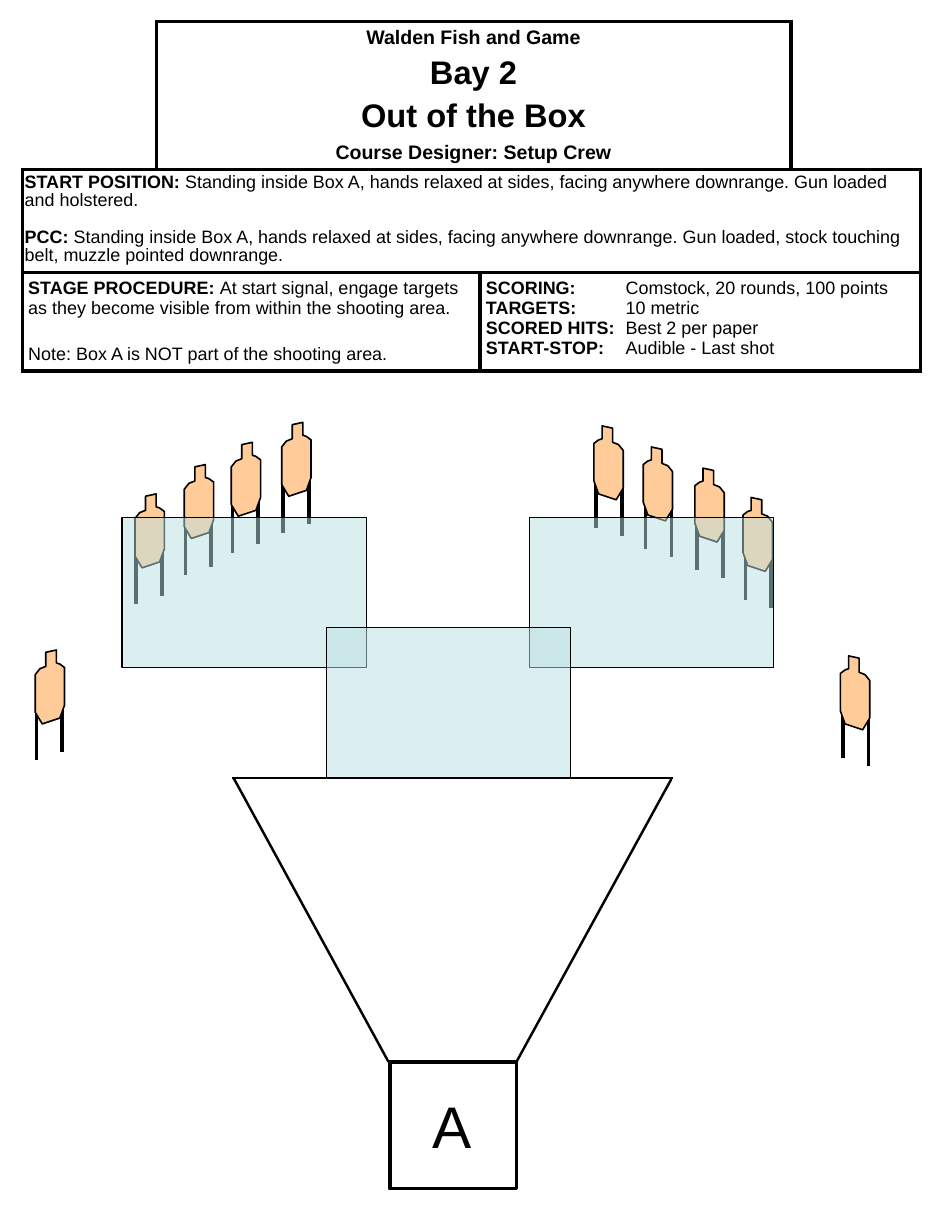
from dataclasses import dataclass

from lxml.etree import SubElement
from pptx import Presentation
from pptx.dml.color import RGBColor
from pptx.enum.shapes import MSO_CONNECTOR, MSO_SHAPE
from pptx.enum.text import MSO_ANCHOR, PP_ALIGN
from pptx.oxml.ns import qn
from pptx.util import Inches, Pt

BLACK = RGBColor(0x00, 0x00, 0x00)
WHITE = RGBColor(0xFF, 0xFF, 0xFF)
TARGET_TAN = RGBColor(0xFF, 0xCC, 0x99)
AREA_BLUE = RGBColor(0xBB, 0xE0, 0xE3)

SLIDE_WIDTH, SLIDE_HEIGHT = Inches(8), Inches(10.5)
GRID_COLUMNS = 800
CELL = SLIDE_WIDTH // GRID_COLUMNS

TARGET_WIDTH = 25
TARGET_OUTLINE = [(9, 2), (18, 0), (18, 11), (21, 12), (25, 15), (25, 47),
                  (21, 58), (6, 63), (0, 53), (0, 21), (4, 16), (9, 14)]
TARGET_LEGS = [(1, 51), (23, 44)]
LEG_LENGTH = 43


@dataclass(frozen=True)
class Target:
    column: int
    row: int
    mirrored: bool = False


@dataclass(frozen=True)
class Area:
    column: int
    row: int
    width: int
    height: int


@dataclass(frozen=True)
class Line:
    text: str
    label: str = ""
    size: int = 11
    before: float = 0
    spacing: float = 1.0
    align: PP_ALIGN = PP_ALIGN.LEFT
    tab: int = 0


@dataclass(frozen=True)
class Panel:
    row: int
    first: int
    last: int
    lines: tuple = ()
    sides: str = "LRTB"
    margins: tuple = (5, 5)
    anchor: MSO_ANCHOR = MSO_ANCHOR.TOP


TARGETS_BEHIND = [Target(633, 424, True), Target(592, 399, True),
                  Target(548, 381, True), Target(506, 363, True),
                  Target(115, 421), Target(157, 396),
                  Target(197, 377), Target(240, 360)]
TARGETS_SIDE = [Target(716, 559, True), Target(30, 554)]
SHOOTING_AREAS = [Area(104, 441, 208, 128), Area(451, 441, 208, 128),
                  Area(278, 535, 208, 128)]
START_BOX = Area(332, 905, 108, 108)
START_LETTER = Area(331, 924, 108, 71)

CENTER = PP_ALIGN.CENTER
TABLE_COLUMNS = [114, 276, 265, 110]
TABLE_ROWS = [126, 88, 84]
PANELS = [
    Panel(0, 0, 0, sides="RB"),
    Panel(0, 1, 2, (
        Line("", "Walden Fish and Game", 12, align=CENTER),
        Line("", "Bay 2", 20, 4, align=CENTER),
        Line("", "Out of the Box", 20, 4, align=CENTER),
        Line("", "Course Designer: Setup Crew", 12, 4.2, align=CENTER),
    ), anchor=MSO_ANCHOR.MIDDLE),
    Panel(0, 3, 3, sides="LB"),
    Panel(1, 0, 3, (
        Line(" Standing inside Box A, hands relaxed at sides, facing anywhere "
             "downrange. Gun loaded and holstered.", "START POSITION:", spacing=0.9),
        Line(" Standing inside Box A, hands relaxed at sides, facing anywhere "
             "downrange. Gun loaded, stock touching belt, muzzle pointed downrange.",
             "PCC:", before=12, spacing=0.9),
    ), margins=(2, 4)),
    Panel(2, 0, 1, (
        Line("At start signal, engage targets as they become visible from within "
             "the shooting area.", "STAGE PROCEDURE: "),
        Line("Note: Box A is NOT part of the shooting area.", before=16),
    )),
    Panel(2, 2, 3, tuple(Line("\t" + value, label, tab=119) for label, value in [
        ("SCORING:", "Comstock, 20 rounds, 100 points"),
        ("TARGETS:", "10 metric"),
        ("SCORED HITS:", "Best 2 per paper"),
        ("START-STOP:", "Audible - Last shot"),
    ])),
]


def apply_format(item, values: dict) -> None:
    for name, value in values.items():
        setattr(item, name, value)


def place(area: Area) -> list[int]:
    return [CELL * units for units in (area.column, area.row, area.width, area.height)]


def outline(shape, width: float) -> None:
    shape.line.color.rgb = BLACK
    shape.line.width = Pt(width)


def draw_line(shapes, start: tuple, end: tuple, width: float = 1.5) -> None:
    connector = shapes.add_connector(
        MSO_CONNECTOR.STRAIGHT, *(CELL * units for units in (*start, *end)))
    outline(connector, width)
    SubElement(connector._element.spPr, qn("a:effectLst"))


def draw_target(slide, target: Target) -> None:
    def locate(x: int, y: int) -> tuple:
        return target.column + (TARGET_WIDTH - x if target.mirrored else x), target.row + y

    shapes = slide.shapes.add_group_shape().shapes
    for x, y in TARGET_LEGS:
        draw_line(shapes, locate(x, y), locate(x, y + LEG_LENGTH), 2.25)
    points = [locate(x, y) for x, y in TARGET_OUTLINE]
    builder = shapes.build_freeform(*points[0], scale=CELL)
    builder.add_line_segments(points[1:], close=True)
    body = builder.convert_to_shape()
    body.shadow.inherit = False
    body.fill.solid()
    body.fill.fore_color.rgb = TARGET_TAN
    outline(body, 1)


def draw_box(slide, area: Area, width: float, color: RGBColor | None = None) -> None:
    box = slide.shapes.add_shape(MSO_SHAPE.RECTANGLE, *place(area))
    box.shadow.inherit = False
    outline(box, width)
    if color is None:
        box.fill.background()
        return
    box.fill.solid()
    box.fill.fore_color.rgb = color
    fill = box._element.spPr.find(qn("a:solidFill"))
    SubElement(fill[0], qn("a:alpha"), val="50000")


def write_lines(frame, lines: tuple) -> None:
    for index, line in enumerate(lines):
        paragraph = frame.add_paragraph() if index else frame.paragraphs[0]
        apply_format(paragraph, {"alignment": line.align, "line_spacing": line.spacing,
                                 "space_before": Pt(line.before)})
        if line.tab:
            tabs = SubElement(paragraph._p.get_or_add_pPr(), qn("a:tabLst"))
            SubElement(tabs, qn("a:tab"), pos=str(CELL * line.tab), algn="l")
        for text, bold in ((line.label, True), (line.text, False)):
            if text:
                run = paragraph.add_run()
                run.text = text
                apply_format(run.font, {"name": "Arial", "size": Pt(line.size), "bold": bold})
                run.font.color.rgb = BLACK


def draw_borders(cell, sides: str) -> None:
    properties = cell._tc.get_or_add_tcPr()
    for side in "LRTB":
        border = SubElement(properties, qn("a:ln" + side), w=str(Pt(2.25)))
        if side in sides:
            fill = SubElement(border, qn("a:solidFill"))
            SubElement(fill, qn("a:srgbClr"), val=str(BLACK))
        else:
            SubElement(border, qn("a:noFill"))


def draw_course_table(slide) -> None:
    area = Area(19, 18, sum(TABLE_COLUMNS), sum(TABLE_ROWS))
    table = slide.shapes.add_table(len(TABLE_ROWS), len(TABLE_COLUMNS), *place(area)).table
    apply_format(table, {"first_row": False, "horz_banding": False})
    for column, width in zip(table.columns, TABLE_COLUMNS):
        column.width = CELL * width
    for row, height in zip(table.rows, TABLE_ROWS):
        row.height = CELL * height
    for panel in PANELS:
        for index in range(panel.first, panel.last + 1):
            cell = table.cell(panel.row, index)
            draw_borders(cell, panel.sides)
            cell.fill.solid()
            cell.fill.fore_color.rgb = WHITE
        cell = table.cell(panel.row, panel.first)
        if panel.last > panel.first:
            cell.merge(table.cell(panel.row, panel.last))
        side, edge = (CELL * units for units in panel.margins)
        apply_format(cell, {"margin_left": side, "margin_right": side, "margin_top": edge,
                            "margin_bottom": edge, "vertical_anchor": panel.anchor})
        write_lines(cell.text_frame, panel.lines)


def main() -> None:
    presentation = Presentation()
    apply_format(presentation, {"slide_width": SLIDE_WIDTH, "slide_height": SLIDE_HEIGHT})
    slide = presentation.slides.add_slide(presentation.slide_layouts[6])
    for target in TARGETS_BEHIND:
        draw_target(slide, target)
    draw_course_table(slide)
    draw_line(slide.shapes, (331, 905), (199, 663))
    draw_line(slide.shapes, (198, 663), (573, 663))
    for area in SHOOTING_AREAS:
        draw_box(slide, area, 0.75, AREA_BLUE)
    for target in TARGETS_SIDE:
        draw_target(slide, target)
    draw_box(slide, START_BOX, 2.25)
    draw_line(slide.shapes, (440, 905), (572, 664))
    letter = slide.shapes.add_textbox(*place(START_LETTER))
    letter.text_frame.word_wrap = True
    write_lines(letter.text_frame, (Line("A", size=36, align=CENTER),))
    presentation.save("out.pptx")


if __name__ == "__main__":
    main()
